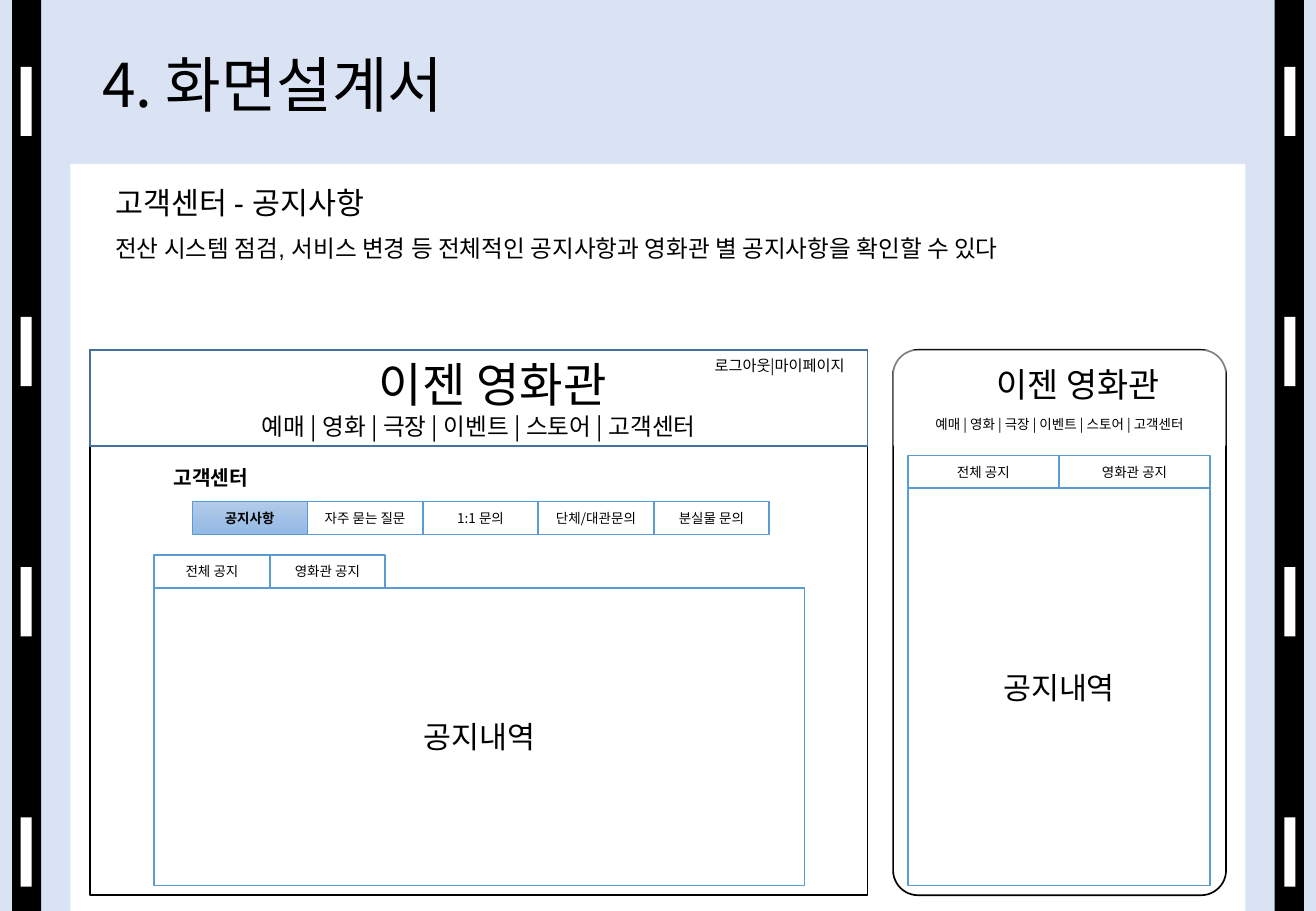
from lxml import etree
from pptx import Presentation
from pptx.dml.color import RGBColor
from pptx.enum.shapes import MSO_SHAPE
from pptx.enum.text import MSO_ANCHOR, MSO_AUTO_SIZE, PP_ALIGN
from pptx.oxml.ns import qn
from pptx.util import Emu, Pt

RECT, ROUND = MSO_SHAPE.RECTANGLE, MSO_SHAPE.ROUNDED_RECTANGLE
TOP, MIDDLE = MSO_ANCHOR.TOP, MSO_ANCHOR.MIDDLE
LEFT, CENTER = PP_ALIGN.LEFT, PP_ALIGN.CENTER
BLACK = RGBColor(0x00, 0x00, 0x00)
WHITE = RGBColor(0xFF, 0xFF, 0xFF)
SKY = RGBColor(0xDA, 0xE3, 0xF3)
BLUE = RGBColor(0x5B, 0x9B, 0xD5)
NAVY = RGBColor(0x43, 0x73, 0x9E)
TAB_LIGHT = RGBColor(0xB1, 0xCB, 0xE9)
TAB_DARK = RGBColor(0x93, 0xB9, 0xE4)
NOTO, ARIAL = "Noto Sans CJK KR", "Arial"
PX = 9144  # 100 px to the inch

# Content
TITLE = "4. 화면설계서"
SITE = "이젠 영화관"
MENU = " | ".join(["예매", "영화", "극장", "이벤트", "스토어", "고객센터"])
SUPPORT_TABS = ["공지사항", "자주 묻는 질문", "1:1 문의", "단체/대관문의", "분실물 문의"]
NOTICE_TABS = ["전체 공지", "영화관 공지"]
NOTICE_BODY = "공지내역"

# Text, box, format
LABELS = [
    ("고객센터 - 공지사항", (85, 147, 394, 40), dict(size=18, font=ARIAL)),
    ("전산 시스템 점검, 서비스 변경 등 전체적인 공지사항과 영화관 별 공지사항을 확인할 수 있다",
     (85, 188, 924, 34), dict(size=14, font=ARIAL)),
    ("고객센터", (128, 383, 91, 20),
     dict(size=12, font=ARIAL, bold=True, align=CENTER, anchor=MIDDLE)),
    ("로그아웃|마이페이지", (518, 291, 247, 20),
     dict(size=9, align=CENTER, anchor=MIDDLE)),
]
# Frame box, corner, header line, name size, name indent, menu size, menu gap
SCREENS = [
    ((74, 288, 640, 449), 0, NAVY, 28, 23, 14, 0),
    ((735, 288, 274, 449), 0.075, None, 20, 31, 8, 7),
]
HEADER_H, TAB_H = 79, 27
# Left, top, width of one tab, width and height of the notice body
NOTICES = [(127, 457, 95, 535, 245), (747, 375, 124.5, 249, 327)]

prs = Presentation()
prs.slide_width, prs.slide_height = Emu(1083 * PX), Emu(750 * PX)
s = prs.slides.add_slide(prs.slide_layouts[5])
s.background.fill.solid()
s.background.fill.fore_color.rgb = SKY


def emu(box):
    return [Emu(round(v * PX)) for v in box]


def add_box(box, fill=None, line=None, width=1, kind=RECT):
    sp = s.shapes.add_shape(kind, *emu(box))
    sp.shadow.inherit = False
    if fill is None:
        sp.fill.background()
    else:
        sp.fill.solid()
        sp.fill.fore_color.rgb = fill
    if line is None:
        sp.line.fill.background()
    else:
        sp.line.color.rgb = line
        sp.line.width = Pt(width)
    return sp


def write(p, text, size, font=NOTO, bold=False, align=LEFT):
    p.alignment = align
    r = p.add_run()
    r.text = text
    for key, value in dict(size=Pt(size), name=font, bold=bold).items():
        setattr(r.font, key, value)
    r.font.color.rgb = BLACK
    ea = etree.SubElement(r.font._element, qn("a:ea"))
    ea.set("typeface", NOTO)


def add_cell(box, text, size=8, bold=False, width=1):
    sp = add_box(box, WHITE, BLUE, width)
    tf = sp.text_frame
    tf.margin_left = tf.margin_right = 0
    tf.vertical_anchor = MIDDLE
    write(tf.paragraphs[0], text, size, bold=bold, align=CENTER)
    return sp


def add_tabs(left, top, width, names):
    for i, name in enumerate(names):
        add_cell((left + i * width, top, width, TAB_H), name)


# Title
title = s.shapes.title
title.left, title.top, title.width, title.height = emu((74, 0, 934, 145))
tf = title.text_frame
tf.auto_size = MSO_AUTO_SIZE.NONE
tf.vertical_anchor = MIDDLE
tf.paragraphs[0].line_spacing = 0.9
write(tf.paragraphs[0], TITLE, 35.8)

# Film strips
for strip_x, hole_x in ((10, 17), (1049, 1057)):
    add_box((strip_x, 0, 24, 750), BLACK)
    for i in range(4):
        add_box((hole_x, 55 + i * 206, 9, 57), WHITE)

# Page and screen frames
add_box((58, 135, 967, 615), WHITE)
for frame, corner, *_ in SCREENS:
    add_box(frame, line=BLACK, kind=ROUND).adjustments[0] = corner

# Support tabs, the first one selected
selected = add_cell((158, 413, 95, TAB_H), SUPPORT_TABS[0], bold=True, width=0.5)
selected.fill.gradient()
selected.fill.gradient_angle = 270
for stop, color in zip(selected.fill.gradient_stops, (TAB_LIGHT, TAB_DARK)):
    stop.color.rgb = color
add_tabs(253, 413, 95, SUPPORT_TABS[1:])

# Notice panels
for left, top, tab_w, body_w, body_h in NOTICES:
    add_cell((left, top + TAB_H, body_w, body_h), NOTICE_BODY, 18)
    add_tabs(left, top, tab_w, NOTICE_TABS)

# Screen headers
for (x, y, w, h), _, line, name_size, indent, menu_size, gap in SCREENS:
    sp = add_box((x, y, w, HEADER_H), WHITE, line)
    color = sp.fill._xPr.find(qn("a:solidFill"))[0]
    etree.SubElement(color, qn("a:alpha")).set("val", "50000")
    tf = sp.text_frame
    tf.vertical_anchor = MIDDLE
    p = tf.paragraphs[0]
    write(p, SITE, name_size, align=CENTER)
    p._p.get_or_add_pPr().set("marL", str(indent * PX))
    p = tf.add_paragraph()
    write(p, MENU, menu_size, align=CENTER)
    p.space_before = Pt(gap)

# Labels
for text, box, fmt in LABELS:
    tf = s.shapes.add_textbox(*emu(box)).text_frame
    tf.word_wrap = True
    fmt = dict(fmt)
    tf.vertical_anchor = fmt.pop("anchor", TOP)
    write(tf.paragraphs[0], text, **fmt)

prs.save("out.pptx")
